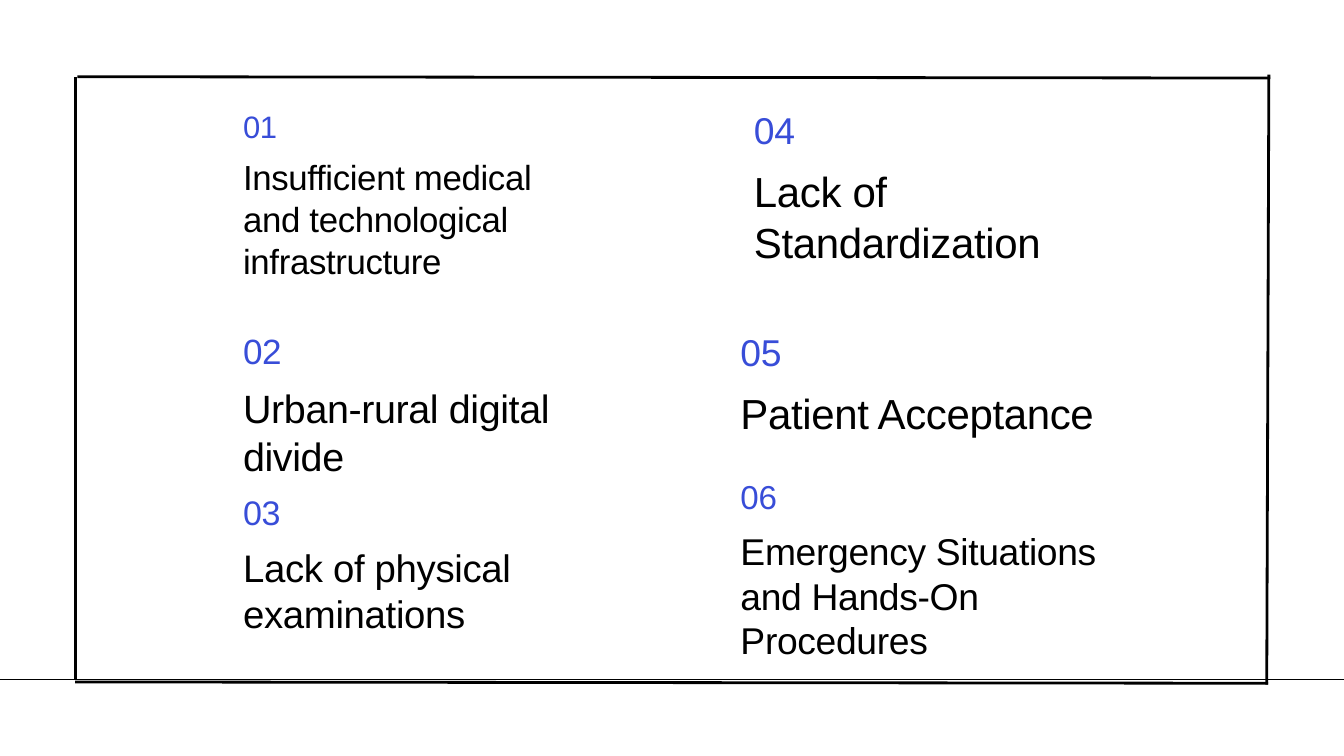
from dataclasses import dataclass

from lxml.etree import SubElement
from pptx import Presentation
from pptx.dml.color import RGBColor
from pptx.enum.shapes import MSO_CONNECTOR
from pptx.enum.text import MSO_AUTO_SIZE
from pptx.oxml.ns import qn
from pptx.util import Cm, Pt


@dataclass(frozen=True)
class Theme:
    font: str = "Arial"
    ink: RGBColor = RGBColor(0x00, 0x00, 0x00)
    accent: RGBColor = RGBColor(0x38, 0x4D, 0xD8)
    paper: RGBColor = RGBColor(0xFF, 0xFF, 0xFF)
    number_scale: float = 8 / 9
    leading: float = 1.2
    title_drop: float = 0.049
    tracking: int = -40
    thin: float = 0.75
    thick: float = 3


@dataclass(frozen=True)
class Challenge:
    number: str
    lines: tuple
    size: float
    left: float
    top: float
    width: float
    number_width: float
    rows: int


THEME = Theme()
PAGE_WIDTH, PAGE_HEIGHT = 50.8, 28.58
BASELINE = 25.68
FRAME = (2.84, 2.9, 45.1, 22.88)

CHALLENGES = (
    Challenge("01", ("Insufficient medical", "and technological infrastructure"),
              37.3, 9.19, 4.06, 14.33, 2.84, 4),
    Challenge("02", ("Urban-rural digital divide",),
              42.3, 9.19, 12.45, 13.84, 2.74, 3),
    Challenge("03", ("Lack of physical examinations",),
              41.1, 9.19, 18.57, 14.73, 2.92, 3),
    Challenge("04", ("Lack of", "Standardization"),
              45, 28.5, 4.06, 17.86, 3.56, 2),
    Challenge("05", ("Patient Acceptance",),
              45, 27.99, 12.45, 16.87, 3.35, 1),
    Challenge("06", ("Emergency Situations and Hands-On Procedures",),
              39.9, 27.99, 18.01, 14.96, 2.97, 3),
)


def add_text(page, lines, *, left, top, width, rows, size, color):
    leading = Pt(round(size * THEME.leading, 1))
    box = page.shapes.add_textbox(Cm(left), Cm(top), Cm(width), rows * leading)
    frame = box.text_frame
    frame.word_wrap = True
    frame.auto_size = MSO_AUTO_SIZE.NONE
    frame.margin_left = frame.margin_right = 0
    frame.margin_top = frame.margin_bottom = 0
    for index, line in enumerate(lines):
        para = frame.add_paragraph() if index else frame.paragraphs[0]
        para.line_spacing = leading
        span = para.add_run()
        span.text = line
        span.font.name = THEME.font
        span.font.size = Pt(round(size, 1))
        span.font.color.rgb = color
        span._r.get_or_add_rPr().set("spc", str(THEME.tracking))


def add_line(page, start, end, weight):
    line = page.shapes.add_connector(
        MSO_CONNECTOR.STRAIGHT, *(Cm(value) for value in (*start, *end)))
    line.line.color.rgb = THEME.ink
    line.line.width = Pt(weight)
    SubElement(line._element.spPr, qn("a:effectLst"))


def add_challenge(page, item):
    add_text(page, item.lines, left=item.left,
             top=item.top + item.size * THEME.title_drop,
             width=item.width, rows=item.rows, size=item.size, color=THEME.ink)
    add_text(page, (item.number,), left=item.left, top=item.top,
             width=item.number_width, rows=1,
             size=item.size * THEME.number_scale, color=THEME.accent)


def add_frame(page, left, top, width, height):
    right, bottom = left + width, top + height
    edges = (
        ((left, bottom - 0.1), (left, top + 0.02)),
        ((right - 0.06, bottom + 0.1), (right + 0.02, top - 0.08)),
        ((left, bottom), (right - 0.01, bottom + 0.05)),
        ((left + 0.08, top), (right + 0.07, top + 0.05)),
    )
    for start, end in edges:
        add_line(page, start, end, THEME.thick)


def main():
    deck = Presentation()
    deck.slide_width, deck.slide_height = Cm(PAGE_WIDTH), Cm(PAGE_HEIGHT)
    page = deck.slides.add_slide(deck.slide_layouts[6])
    page.background.fill.solid()
    page.background.fill.fore_color.rgb = THEME.paper
    for item in CHALLENGES:
        add_challenge(page, item)
    add_line(page, (0, BASELINE), (PAGE_WIDTH, BASELINE), THEME.thin)
    add_frame(page, *FRAME)
    deck.save("out.pptx")


if __name__ == "__main__":
    main()
